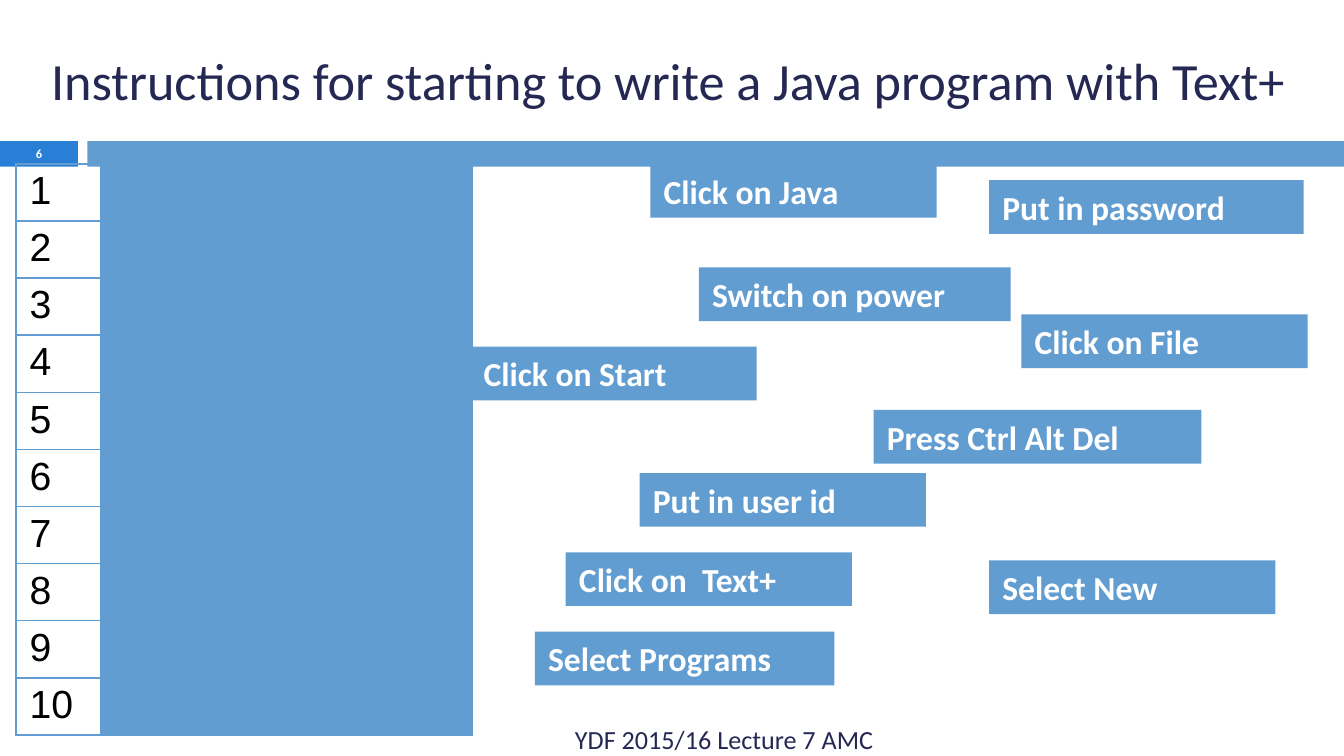
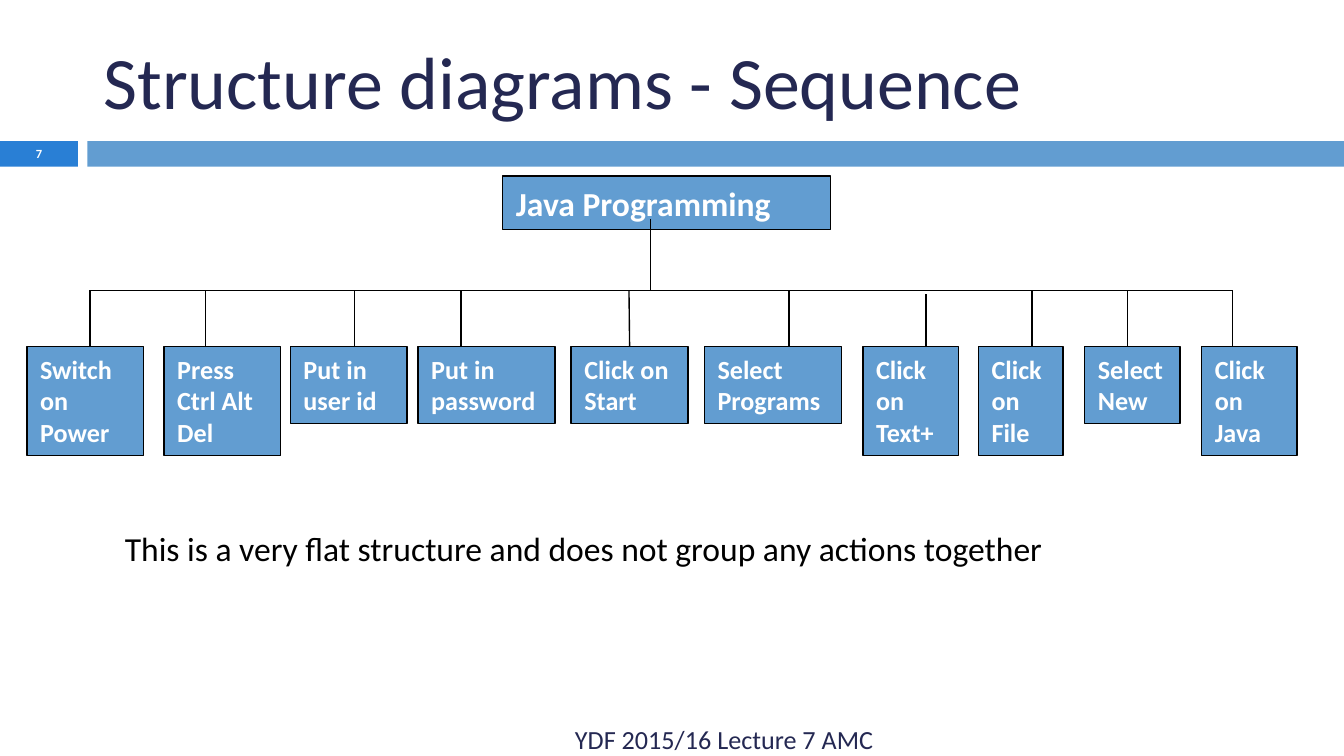
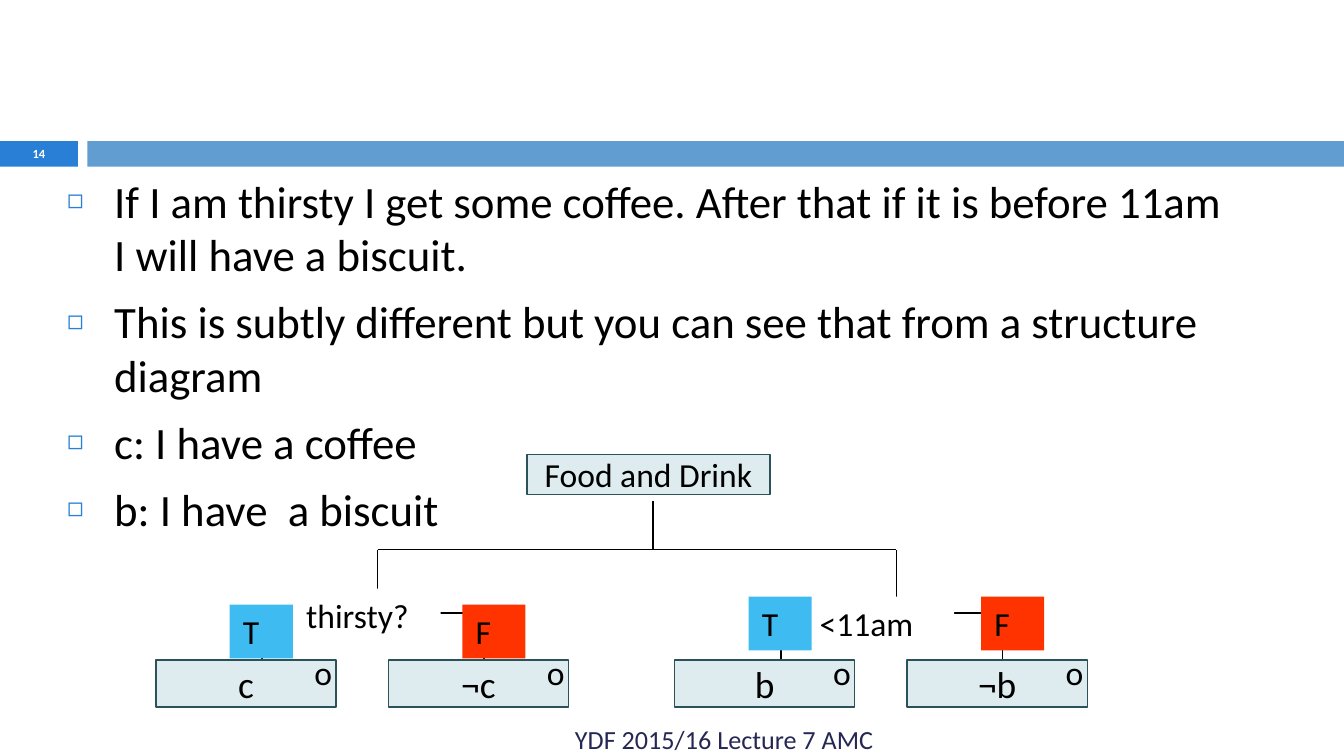
from dataclasses import dataclass

from lxml import etree
from pptx import Presentation
from pptx.dml.color import RGBColor
from pptx.enum.shapes import MSO_CONNECTOR, MSO_SHAPE
from pptx.enum.text import MSO_ANCHOR as ANC, MSO_AUTO_SIZE as FIT, PP_ALIGN as AL
from pptx.oxml.ns import qn
from pptx.util import Inches, Pt

COLS, ROWS = 100, 56.25
W, H = Inches(10), Inches(5.625)

NAVY = RGBColor(0x24, 0x28, 0x52)
BLUE = RGBColor(0x62, 0x9D, 0xD1)
DEEP_BLUE = RGBColor(0x29, 0x7F, 0xD5)
SKY = RGBColor(0x3E, 0xBB, 0xF0)
RED = RGBColor(0xFF, 0x33, 0x00)
PALE = RGBColor(0xDE, 0xEC, 0xEF)
TEAL = RGBColor(0x2B, 0x52, 0x59)
BLACK = RGBColor(0, 0, 0)
WHITE = RGBColor(0xFF, 0xFF, 0xFF)

FONT = "Calibri"
FOOTER = "YDF 2015/16 Lecture 7 AMC"
GROW = {"auto_size": FIT.SHAPE_TO_FIT_TEXT, "word_wrap": True}
MIDDLE = {"vertical_anchor": ANC.MIDDLE, "auto_size": FIT.NONE, "word_wrap": True}
NO_WRAP = {"vertical_anchor": ANC.MIDDLE, "word_wrap": False}
FLUSH = {f"margin_{side}": 0 for side in ("left", "top", "right", "bottom")}


@dataclass(frozen=True)
class Box:
    x: float
    y: float
    w: float
    h: float

    def emu(self) -> tuple[int, int, int, int]:
        return col(self.x), row(self.y), col(self.w), row(self.h)


@dataclass(frozen=True)
class Style:
    size: float
    color: RGBColor
    bold: bool = False
    align: AL = AL.LEFT
    font: str = FONT


@dataclass(frozen=True)
class Step:
    text: str
    x: float
    w: float
    h: float
    drop_x: float
    shift: float = 0


@dataclass(frozen=True)
class Branch:
    x: float
    question: str
    question_x: float
    question_y: float
    flag_y: float
    action: str


CARD = Style(18, WHITE, True)
STEP = Style(14, WHITE, True)
LABEL = Style(18, BLACK)
NODE = Style(18, BLACK, align=AL.CENTER)
ACTION = Style(20, BLACK, align=AL.CENTER)
BULLET = Style(24, BLACK)
CELL = Style(21, BLACK, font="Arial")
NUMBER = Style(6.7, WHITE, True, AL.CENTER)
FOOT = Style(14, NAVY, align=AL.RIGHT)

CARDS = [
    ("Switch on power", Box(52, 19.9, 23.2, 4)),
    ("Press Ctrl Alt Del", Box(65, 30.5, 24.4, 4)),
    ("Put in user id", Box(47.6, 35.2, 21.3, 4)),
    ("Select New", Box(73.6, 41.7, 21.3, 4)),
    ("Click on File", Box(76, 23.4, 21.3, 4)),
    ("Click on  Text+", Box(42.1, 41.1, 21.3, 4)),
    ("Select Programs", Box(39.8, 47, 22.3, 4)),
    ("Click on Start", Box(35, 25.8, 21.3, 4)),
    ("Put in password", Box(73.6, 13.4, 23.4, 4)),
    ("Click on Java", Box(48.4, 12.2, 21.3, 4)),
]

TALL, SHORT = 8.1, 5.7
STEPS = [
    Step("Switch on Power", 2, 8.7, TALL, 6.7),
    Step("Press Ctrl Alt Del", 12.2, 8.7, TALL, 15.3),
    Step("Put in user id", 21.6, 8.7, SHORT, 26.4),
    Step("Put in password", 31.1, 10.2, SHORT, 34.3),
    Step("Click on  Start", 42.5, 8.7, SHORT, 46.8),
    Step("Select Programs", 52.4, 10.2, SHORT, 58.7),
    Step("Click on Text+", 64.2, 7.1, TALL, 68.9, 0.3),
    Step("Click on File", 72.8, 6.3, TALL, 76.8),
    Step("Select New", 80.7, 7.1, SHORT, 83.9),
    Step("Click on Java", 89.4, 7.1, TALL, 91.7),
]

BULLETS = [
    "If I am thirsty I get some coffee. After that if it is before 11am I will have a biscuit.",
    "This is subtly different but you can see that from a structure diagram",
    "c: I have a coffee",
    "b: I have  a biscuit",
]

BRANCHES = [
    Branch(28.1, "thirsty?", 21.8, 43.8, 45, "c"),
    Branch(66.7, "<11am", 60, 44.4, 44.4, "b"),
]


def col(n: float) -> int:
    return round(W * n / COLS)


def row(n: float) -> int:
    return round(H * n / ROWS)


def write(tf, lines: list[str], style: Style, **frame) -> None:
    for name, value in frame.items():
        setattr(tf, name, value)
    for i, line in enumerate(lines):
        p = tf.add_paragraph() if i else tf.paragraphs[0]
        p.alignment = style.align
        r = p.add_run()
        r.text = line
        fmt = {"name": style.font, "size": Pt(style.size), "bold": style.bold}
        for name, value in fmt.items():
            setattr(r.font, name, value)
        r.font.color.rgb = style.color


def add_rect(s, box: Box, fill: RGBColor, line: RGBColor | None = None):
    sp = s.shapes.add_shape(MSO_SHAPE.RECTANGLE, *box.emu())
    sp.shadow.inherit = False
    sp.fill.solid()
    sp.fill.fore_color.rgb = fill
    if line is None:
        sp.line.fill.background()
    else:
        sp.line.color.rgb = line
        sp.line.width = Pt(0.75)
    return sp


def add_card(s, box: Box, text: str, style: Style, fill: RGBColor,
             line: RGBColor | None = None, frame: dict = GROW):
    sp = add_rect(s, box, fill, line)
    write(sp.text_frame, [text], style, **{"vertical_anchor": ANC.TOP, **frame})
    return sp


def add_label(s, box: Box, text: str, style: Style, **frame) -> None:
    sp = s.shapes.add_textbox(*box.emu())
    write(sp.text_frame, [text], style, **frame)


def add_line(s, x1: float, y1: float, x2: float, y2: float):
    c = s.shapes.add_connector(MSO_CONNECTOR.STRAIGHT, col(x1), row(y1), col(x2), row(y2))
    c.line.color.rgb = BLACK
    c.line.width = Pt(0.75)
    etree.SubElement(c._element.spPr, qn("a:effectLst"))
    return c


def place(sp, box: Box) -> None:
    for name, value in zip(("left", "top", "width", "height"), box.emu()):
        setattr(sp, name, value)


def add_slide(prs, layout: int, number: int):
    s = prs.slides.add_slide(prs.slide_layouts[layout])
    add_rect(s, Box(0, 10.5, 5.8, 1.9), DEEP_BLUE)
    add_rect(s, Box(6.5, 10.5, 93.5, 1.9), BLUE)
    add_label(s, Box(0, 10.4, 5.8, 2), str(number), NUMBER, **MIDDLE)
    return s


def add_titled(prs, number: int, title: str, size: float, x: float, w: float):
    s = add_slide(prs, 5, number)
    place(s.shapes.title, Box(x, 1.9, w, 8.1))
    write(s.shapes.title.text_frame, [title], Style(size, NAVY), **MIDDLE)
    return s


def add_footer(s) -> None:
    add_label(s, Box(6.7, 53.5, 59.3, 3), FOOTER, FOOT, **MIDDLE)


def border(cell) -> None:
    tc_pr = cell._tc.get_or_add_tcPr()
    for i, side in enumerate(("lnL", "lnR", "lnT", "lnB")):
        ln = etree.Element(qn(f"a:{side}"), w=str(Pt(1)))
        fill = etree.SubElement(ln, qn("a:solidFill"))
        etree.SubElement(fill, qn("a:srgbClr"), val=str(BLUE))
        tc_pr.insert(i, ln)


def add_answer_table(s, count: int) -> None:
    box = Box(1.2, 12.2, 33.9, 42.5)
    table = s.shapes.add_table(count, 2, *box.emu()).table
    table.first_row = table.horz_banding = False
    for column, width in zip(table.columns, (6.3, 27.6)):
        column.width = col(width)
    for i in range(count):
        label, answer = table.cell(i, 0), table.cell(i, 1)
        label.fill.background()
        answer.fill.solid()
        answer.fill.fore_color.rgb = BLUE
        for cell in (label, answer):
            cell.margin_top = cell.margin_bottom = Inches(0.04)
            border(cell)
        write(label.text_frame, [str(i + 1)], CELL)


def instructions_slide(prs) -> None:
    title = "Instructions for starting to write a Java program with Text+"
    s = add_titled(prs, 6, title, 28, 2.8, 95)
    add_answer_table(s, len(CARDS))
    for text, box in CARDS:
        add_card(s, box, text, CARD, BLUE)
    add_footer(s)


def sequence_slide(prs) -> None:
    s = add_titled(prs, 7, "Structure diagrams - Sequence", 39.6, 6.7, 89.2)
    bar_y, step_y = 21.6, 25.8
    add_card(s, Box(37.4, 13.1, 24.4, 4), "Java Programming", CARD, BLUE, BLACK)
    add_line(s, 48.4, 16.3, 48.4, bar_y)
    add_line(s, STEPS[0].drop_x, bar_y, STEPS[-1].drop_x, bar_y)
    for step in STEPS:
        c = add_line(s, step.drop_x, bar_y + step.shift, step.drop_x, step_y + step.shift)
        sp = add_card(s, Box(step.x, step_y, step.w, step.h), step.text, STEP, BLUE, BLACK)
        if abs(step.x + step.w / 2 - step.drop_x) < 0.1:
            c.end_connect(sp, 0)
    add_label(s, Box(8.3, 38.8, 85.8, 4),
              "This is a very flat structure and does not group any actions together",
              LABEL, **GROW)
    add_footer(s)


def add_bullets(sp) -> None:
    place(sp, Box(4, 12.4, 89.2, 39.4))
    write(sp.text_frame, BULLETS, BULLET, auto_size=FIT.NONE, vertical_anchor=ANC.TOP)
    for p in sp.text_frame.paragraphs:
        p.space_before = Pt(7)
        p_pr = p._p.get_or_add_pPr()
        p_pr.set("marL", str(Inches(0.35)))
        p_pr.set("indent", str(-Inches(0.35)))
        color = etree.SubElement(p_pr, qn("a:buClr"))
        etree.SubElement(color, qn("a:srgbClr"), val=str(DEEP_BLUE))
        etree.SubElement(p_pr, qn("a:buSzPct"), val="60000")
        etree.SubElement(p_pr, qn("a:buChar"), char="◻")


def add_branch(s, b: Branch, top: float) -> None:
    fork, base = 45.6, 49.1
    left, right = b.x - 8.6, b.x + 7.9
    add_line(s, b.x, top, b.x, fork)
    add_line(s, left, fork, right, fork)
    add_card(s, Box(b.question_x, b.question_y, 11, 4), b.question, LABEL, WHITE)
    outcomes = [
        (left, b.x - 16.5, "T", SKY, b.action),
        (right, b.x + 0.8, "F", RED, "¬" + b.action),
    ]
    for drop_x, x, flag, fill, action in outcomes:
        add_line(s, drop_x, fork, drop_x, base)
        add_card(s, Box(x, base, 13.4, 3.5), action, ACTION, PALE, TEAL, NO_WRAP)
        add_card(s, Box(x + 5.5, b.flag_y, 4.7, 4), flag, LABEL, fill)
        add_label(s, Box(x + 11.8, 48.5, 2.4, 3), "o", LABEL, **GROW, **FLUSH)


def selection_slide(prs) -> None:
    s = add_slide(prs, 1, 14)
    title = s.shapes.title._element
    title.getparent().remove(title)
    add_bullets(s.placeholders[1])
    bar_y = 40.9
    add_card(s, Box(39.2, 33.8, 18.1, 3), "Food and Drink", NODE, PALE, TEAL, NO_WRAP)
    add_line(s, 48.6, 37.3, 48.6, bar_y)
    add_line(s, BRANCHES[0].x, bar_y, BRANCHES[-1].x, bar_y)
    for branch in BRANCHES:
        add_branch(s, branch, bar_y)
    add_footer(s)


def main() -> None:
    prs = Presentation()
    prs.slide_width, prs.slide_height = W, H
    instructions_slide(prs)
    sequence_slide(prs)
    selection_slide(prs)
    prs.save("out.pptx")


if __name__ == "__main__":
    main()
